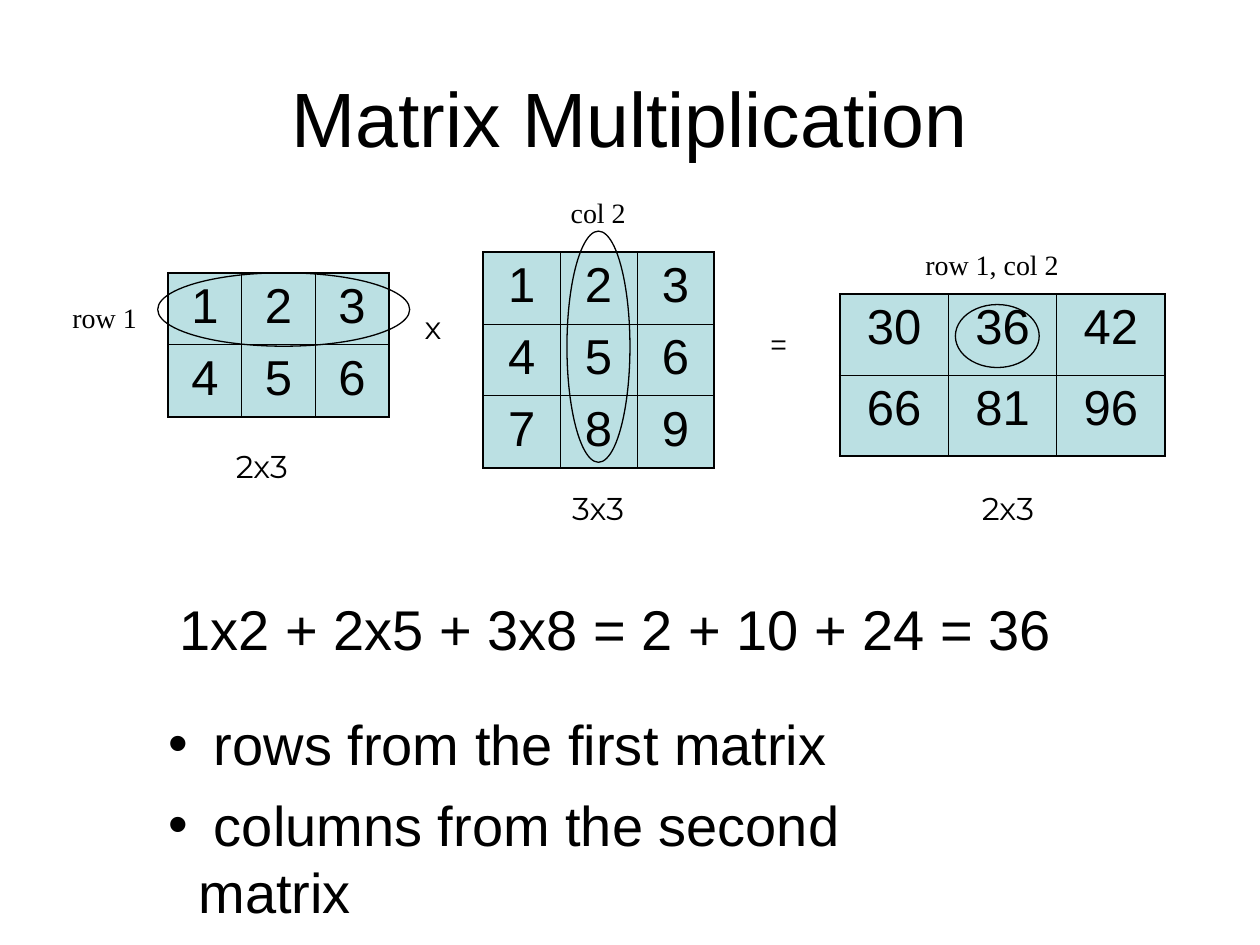
from lxml import etree
from pptx import Presentation
from pptx import util as u
from pptx.dml.color import RGBColor
from pptx.enum import shapes, text
from pptx.oxml.ns import qn

COLORS = {"ink": "000000", "cell": "BBE0E3"}


def color(name):
    return RGBColor.from_string(COLORS[name])


class SlideBuilder:
    heading_font = "Arial"
    size_font = "Montserrat"
    label_font = "Times New Roman"
    outer_line = 1.08
    inner_line = 0.45

    def __init__(self, slide):
        self.slide = slide

    def style(self, paragraph, font, size, align):
        paragraph.alignment = align
        paragraph.font.name = font
        paragraph.font.size = u.Pt(size)
        paragraph.font.color.rgb = color("ink")

    def text(self, lines, box, font, size, align=text.PP_ALIGN.CENTER,
             anchor=text.MSO_ANCHOR.TOP, wrap=False, bullet=False):
        shape = self.slide.shapes.add_textbox(*map(u.Cm, box))
        frame = shape.text_frame
        frame.word_wrap = wrap
        frame.vertical_anchor = anchor
        for index, line in enumerate(lines):
            paragraph = frame.add_paragraph() if index else frame.paragraphs[0]
            paragraph.text = line
            if index:
                paragraph.space_before = u.Pt(8)
            if bullet:
                self.bullet(paragraph)
            self.style(paragraph, font, size, align)
        return frame

    def bullet(self, paragraph):
        properties = paragraph._p.get_or_add_pPr()
        indent = u.Cm(0.6)
        properties.set("marL", str(indent))
        properties.set("indent", str(-indent))
        etree.SubElement(properties, qn("a:buFont"), typeface=self.heading_font)
        etree.SubElement(properties, qn("a:buChar"), char="•")

    def operator(self, symbol, left, top):
        frame = self.text([symbol], (left, top, 0.84, 0.89), self.size_font, 18,
                          anchor=text.MSO_ANCHOR.MIDDLE)
        frame.margin_left = frame.margin_right = 0
        frame.margin_top = frame.margin_bottom = 0

    def matrix(self, values, left, top, width, row_height):
        rows, columns = len(values), len(values[0])
        frame = self.slide.shapes.add_table(
            rows, columns, u.Cm(left), u.Cm(top), u.Cm(width), u.Cm(rows * row_height))
        table = frame.table
        table.first_row = table.horz_banding = False
        for row, row_values in enumerate(values):
            for column, value in enumerate(row_values):
                cell = table.cell(row, column)
                cell.text = str(value)
                self.style(cell.text_frame.paragraphs[0], self.heading_font, 28,
                           text.PP_ALIGN.CENTER)
                cell.fill.solid()
                cell.fill.fore_color.rgb = color("cell")
                self.borders(cell, {"L": column == 0, "R": column == columns - 1,
                                    "T": row == 0, "B": row == rows - 1})

    def borders(self, cell, outer_sides):
        properties = cell._tc.get_or_add_tcPr()
        for index, (side, outer) in enumerate(outer_sides.items()):
            width = u.Pt(self.outer_line if outer else self.inner_line)
            line = etree.Element(qn(f"a:ln{side}"), w=str(width))
            fill = etree.SubElement(line, qn("a:solidFill"))
            etree.SubElement(fill, qn("a:srgbClr"), val=COLORS["ink"])
            properties.insert(index, line)

    def ellipse(self, *box):
        shape = self.slide.shapes.add_shape(shapes.MSO_SHAPE.OVAL, *map(u.Cm, box))
        shape.shadow.inherit = False
        shape.fill.background()
        shape.line.color.rgb = color("ink")
        shape.line.width = u.Pt(0.75)


def main():
    presentation = Presentation()
    presentation.slide_width = u.Cm(25.4)
    presentation.slide_height = u.Cm(19.05)
    builder = SlideBuilder(presentation.slides.add_slide(presentation.slide_layouts[6]))

    builder.text(["Matrix Multiplication"], (1.27, 0.76, 22.86, 3.18),
                 builder.heading_font, 44, anchor=text.MSO_ANCHOR.MIDDLE, wrap=True)

    builder.matrix([[1, 2, 3], [4, 5, 6]], 3.39, 5.5, 4.45, 1.45)
    builder.matrix([[1, 2, 3], [4, 5, 6], [7, 8, 9]], 9.74, 5.08, 4.65, 1.45)
    builder.matrix([[30, 36, 42], [66, 81, 96]], 16.93, 5.93, 6.56, 1.63)

    builder.operator("x", 8.31, 6.15)
    builder.operator("=", 15.28, 6.49)

    for size, left, top in [("2x3", 4.28, 8.89), ("3x3", 11.06, 9.74), ("2x3", 19.32, 9.74)]:
        builder.text([size], (left, top, 2, 1.06), builder.size_font, 18)

    for label, left, top, width in [("row 1", 1.11, 5.93, 2), ("col 2", 11.06, 3.81, 2),
                                    ("row 1, col 2", 18.2, 4.87, 3.6)]:
        builder.text([label], (left, top, width, 0.9), builder.label_font, 16)

    builder.ellipse(3.18, 5.5, 5.08, 1.48)
    builder.ellipse(11.43, 4.66, 1.27, 4.66)
    builder.ellipse(19.26, 6.14, 1.69, 1.27)

    builder.text(["1x2 + 2x5 + 3x8 = 2 + 10 + 24 = 36"], (3.37, 11.86, 18.1, 1.63),
                 builder.heading_font, 32, align=text.PP_ALIGN.LEFT)
    builder.text([" rows from the first matrix", " columns from the second matrix"],
                 (3.15, 14.18, 17.22, 4.4), builder.heading_font, 32,
                 align=text.PP_ALIGN.LEFT, wrap=True, bullet=True)

    presentation.save("out.pptx")


if __name__ == "__main__":
    main()
